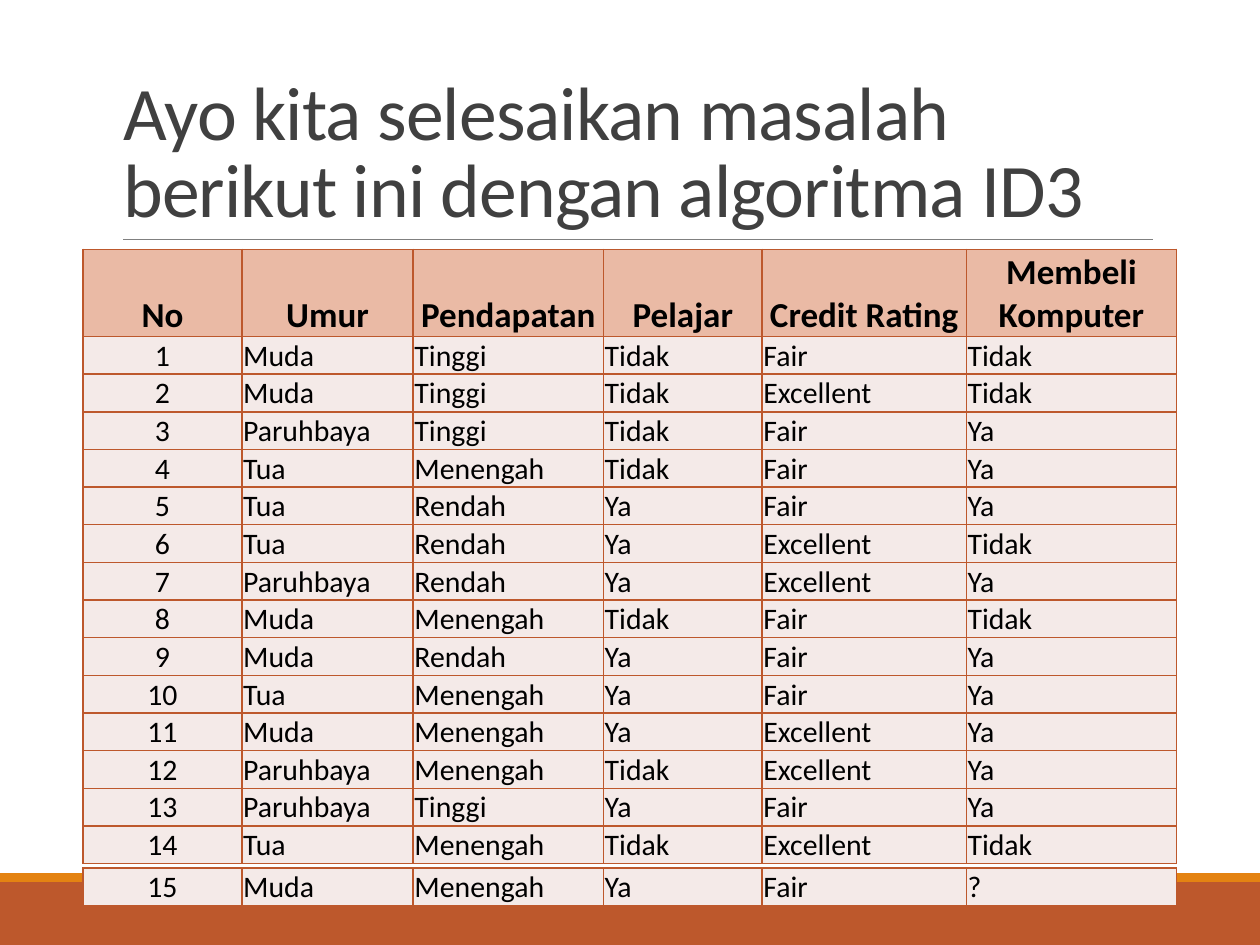
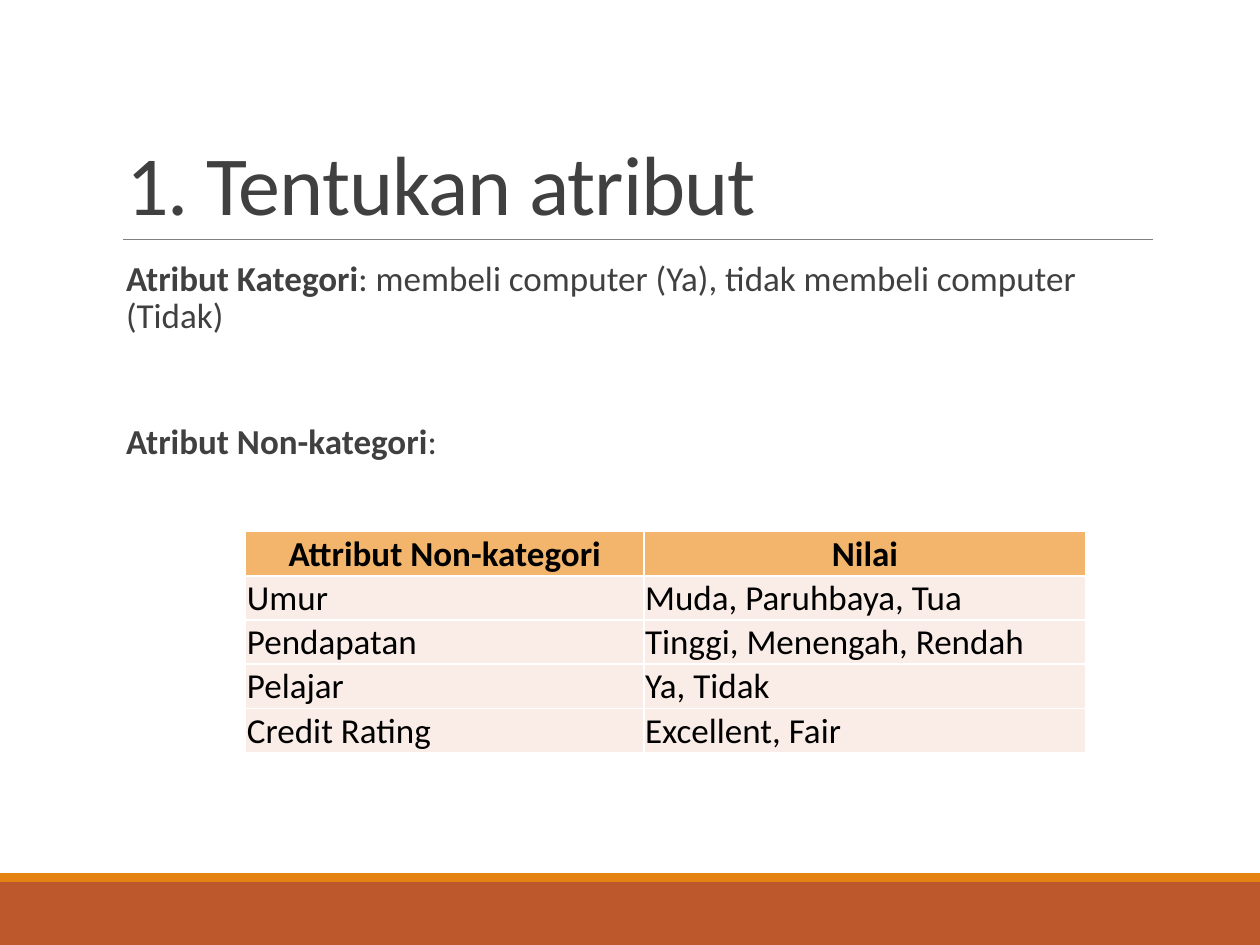
import lxml.etree
import pptx
import pptx.dml.color
import pptx.enum.shapes
import pptx.enum.text
import pptx.oxml.ns
import pptx.util

Inches = pptx.util.Inches
Pt = pptx.util.Pt
RGBColor = pptx.dml.color.RGBColor
ALIGN = pptx.enum.text.PP_ALIGN
ANCHOR = pptx.enum.text.MSO_ANCHOR
qn = pptx.oxml.ns.qn

RUST = RGBColor(0xBD, 0x58, 0x2C)
ORANGE = RGBColor(0xE4, 0x83, 0x12)
GRAY = RGBColor(0x80, 0x80, 0x80)
DARK = RGBColor(0x40, 0x40, 0x40)
BLACK = RGBColor(0, 0, 0)
WHITE = RGBColor(0xFF, 0xFF, 0xFF)
PEACH = RGBColor(0xEA, 0xBA, 0xA5)
BLUSH = RGBColor(0xF4, 0xEA, 0xE8)
AMBER = RGBColor(0xF3, 0xB5, 0x6C)
CREAM = RGBColor(0xFA, 0xED, 0xE7)

TITLE_ONLY, TITLE_AND_CONTENT = 5, 1

PURCHASE_COLS = [1.26, 1.36, 1.51, 1.26, 1.62, 1.67]
PURCHASE_HEADER = ["No", "Umur", "Pendapatan", "Pelajar", "Credit Rating", "Membeli Komputer"]
PURCHASES = [
    ["Muda", "Tinggi", "Tidak", "Fair", "Tidak"],
    ["Muda", "Tinggi", "Tidak", "Excellent", "Tidak"],
    ["Paruhbaya", "Tinggi", "Tidak", "Fair", "Ya"],
    ["Tua", "Menengah", "Tidak", "Fair", "Ya"],
    ["Tua", "Rendah", "Ya", "Fair", "Ya"],
    ["Tua", "Rendah", "Ya", "Excellent", "Tidak"],
    ["Paruhbaya", "Rendah", "Ya", "Excellent", "Ya"],
    ["Muda", "Menengah", "Tidak", "Fair", "Tidak"],
    ["Muda", "Rendah", "Ya", "Fair", "Ya"],
    ["Tua", "Menengah", "Ya", "Fair", "Ya"],
    ["Muda", "Menengah", "Ya", "Excellent", "Ya"],
    ["Paruhbaya", "Menengah", "Tidak", "Excellent", "Ya"],
    ["Paruhbaya", "Tinggi", "Ya", "Fair", "Ya"],
    ["Tua", "Menengah", "Tidak", "Excellent", "Tidak"],
    ["Muda", "Menengah", "Ya", "Fair", "?"],
]
ATTRIBUTES = [
    ["Attribut Non-kategori", "Nilai"],
    ["Umur", "Muda, Paruhbaya, Tua"],
    ["Pendapatan", "Tinggi, Menengah, Rendah"],
    ["Pelajar", "Ya, Tidak"],
    ["Credit Rating", "Excellent, Fair"],
]


class Deck:
    font = "Calibri"

    def __init__(self):
        self.prs = pptx.Presentation()
        self.prs.slide_width = Inches(10)
        self.prs.slide_height = Inches(7.5)
        self.s = None

    def slide(self, layout):
        self.s = self.prs.slides.add_slide(self.prs.slide_layouts[layout])
        self.band(7, 0.5, RUST)
        self.band(6.93, 0.07, ORANGE)
        self.rule(0.98, 9.15, 1.9)

    def band(self, top, height, color):
        sp = self.s.shapes.add_shape(
            pptx.enum.shapes.MSO_SHAPE.RECTANGLE, 0, Inches(top), self.prs.slide_width, Inches(height))
        sp.shadow.inherit = False
        sp.fill.solid()
        sp.fill.fore_color.rgb = color
        sp.line.fill.background()

    def rule(self, left, right, y):
        sp = self.s.shapes.add_connector(
            pptx.enum.shapes.MSO_CONNECTOR.STRAIGHT, Inches(left), Inches(y), Inches(right), Inches(y))
        sp.line.color.rgb = GRAY
        sp.line.width = Pt(0.5)
        lxml.etree.SubElement(sp._element.spPr, qn("a:effectLst"))

    def style(self, r, size, color, bold=False):
        r.font.name = self.font
        r.font.size = Pt(size)
        r.font.color.rgb = color
        r.font.bold = bold

    def place(self, sp, left, top, width, height):
        sp.left, sp.top, sp.width, sp.height = map(Inches, (left, top, width, height))
        sp.text_frame.auto_size = pptx.enum.text.MSO_AUTO_SIZE.NONE
        sp.text_frame.word_wrap = True

    def title(self, text, size, left):
        sp = self.s.shapes.title
        self.place(sp, left, 0.31, 8.25, 1.59)
        tf = sp.text_frame
        tf.text = text
        tf.vertical_anchor = ANCHOR.BOTTOM
        p = tf.paragraphs[0]
        p.alignment = ALIGN.LEFT
        p.line_spacing = 0.85
        r = p.runs[0]
        self.style(r, size, DARK)
        r.font._element.set("spc", "-50")

    def body(self, items):
        sp = self.s.placeholders[1]
        self.place(sp, 0.9, 2.02, 8.25, 4.4)
        tf = sp.text_frame
        tf.margin_left = tf.margin_right = 0
        for i, (label, rest, before) in enumerate(items):
            p = tf.paragraphs[0] if i == 0 else tf.add_paragraph()
            p.line_spacing = 0.9
            p.space_before = Pt(before)
            p.space_after = Pt(2)
            pPr = p._p.get_or_add_pPr()
            pPr.set("marL", str(Inches(0.1)))
            pPr.set("indent", "0")
            lxml.etree.SubElement(pPr, qn("a:buNone"))
            for text, bold in ((label, True), (rest, False)):
                r = p.add_run()
                r.text = text
                self.style(r, 20, DARK, bold)

    def borders(self, cell, color):
        tcPr = cell._tc.get_or_add_tcPr()
        for side in ("a:lnL", "a:lnR", "a:lnT", "a:lnB"):
            ln = lxml.etree.SubElement(tcPr, qn(side), w=str(Pt(1)))
            fill = lxml.etree.SubElement(ln, qn("a:solidFill"))
            lxml.etree.SubElement(fill, qn("a:srgbClr"), val=str(color))

    def table(self, left, top, cols, rows, size, border, fill, row_height,
              header_fill=None, header_height=0, numbered=False):
        heights = [row_height] * len(rows)
        if header_fill:
            heights[0] = header_height
        table = self.s.shapes.add_table(
            len(rows), len(cols), Inches(left), Inches(top),
            Inches(sum(cols)), Inches(sum(heights))).table
        table.first_row = table.horz_banding = False
        for col, width in zip(table.columns, cols):
            col.width = Inches(width)
        for row, height in zip(table.rows, heights):
            row.height = Inches(height)
        for i, values in enumerate(rows):
            header = i == 0 and header_fill is not None
            for j, value in enumerate(values):
                cell = table.cell(i, j)
                self.borders(cell, border)
                cell.fill.solid()
                cell.fill.fore_color.rgb = header_fill if header else fill
                cell.margin_left = cell.margin_right = cell.margin_top = Inches(0.01)
                cell.margin_bottom = 0
                cell.vertical_anchor = ANCHOR.BOTTOM
                cell.text_frame.text = value
                p = cell.text_frame.paragraphs[0]
                centered = header or (numbered and j == 0)
                p.alignment = ALIGN.CENTER if centered else ALIGN.LEFT
                self.style(p.runs[0], 20 if header else size, BLACK, header)


def main():
    deck = Deck()

    deck.slide(TITLE_ONLY)
    deck.title("Ayo kita selesaikan masalah berikut ini dengan algoritma ID3", 43.2, 0.88)
    rows = [[str(n)] + values for n, values in enumerate(PURCHASES, 1)]
    look = dict(size=17, border=RUST, fill=BLUSH, row_height=0.29, numbered=True)
    deck.table(0.66, 1.98, PURCHASE_COLS, [PURCHASE_HEADER] + rows[:-1],
               header_fill=PEACH, header_height=0.68, **look)
    deck.table(0.66, 6.89, PURCHASE_COLS, rows[-1:], **look)

    deck.slide(TITLE_AND_CONTENT)
    deck.title("1. Tentukan atribut", 48, 0.9)
    deck.body([
        ("Atribut Kategori", ": membeli computer (Ya), tidak membeli computer (Tidak)", 12),
        ("Atribut Non-kategori", ":", 48),
    ])
    deck.table(1.95, 4.22, [3.16, 3.51], ATTRIBUTES, size=20, border=WHITE, fill=CREAM,
               row_height=0.34, header_fill=AMBER, header_height=0.34)

    deck.prs.save("out.pptx")


if __name__ == "__main__":
    main()
